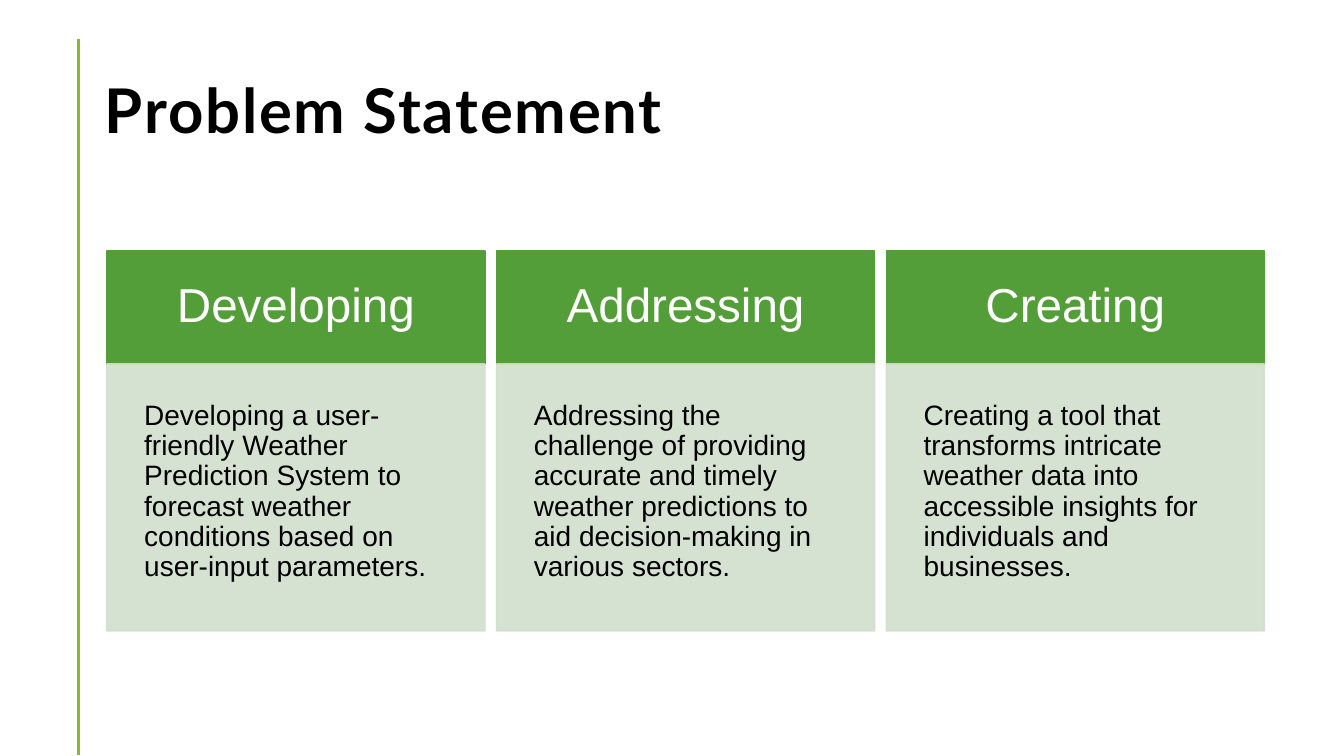
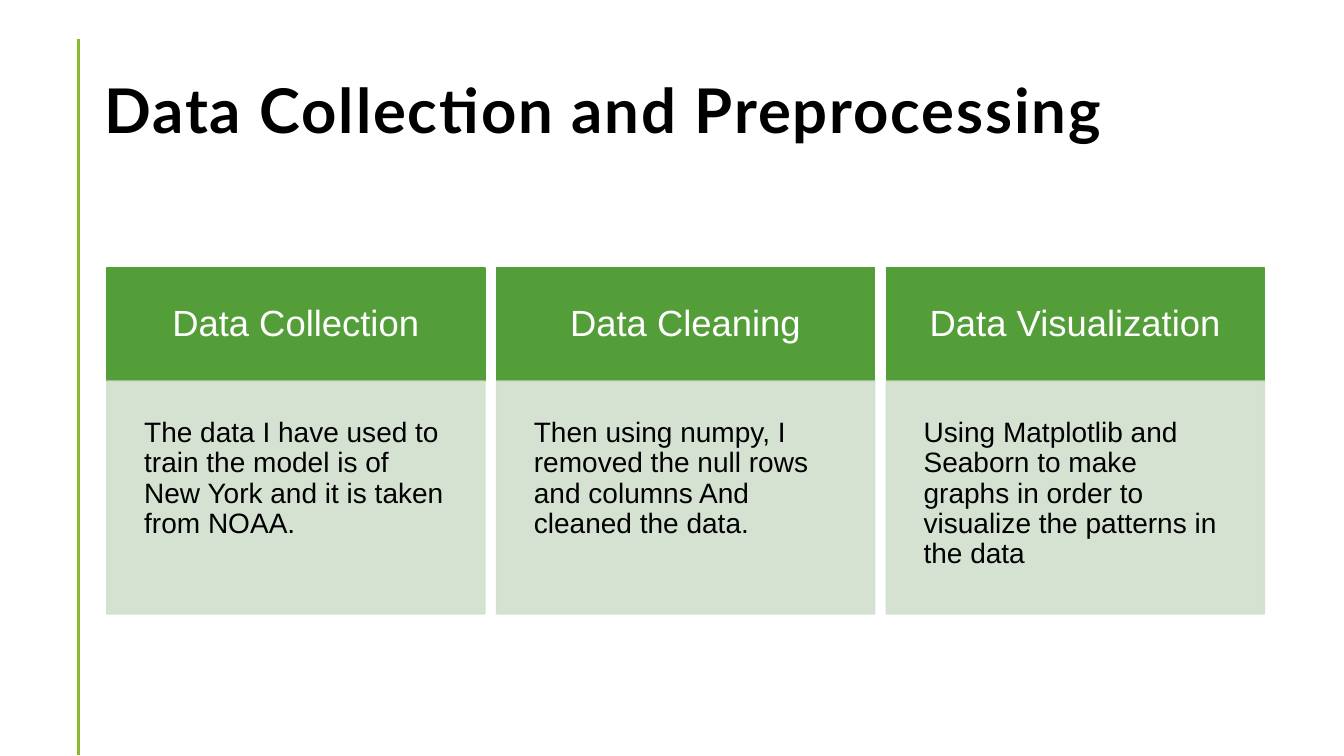
from lxml.etree import SubElement
from pptx import Presentation
from pptx.dml.color import RGBColor
from pptx.enum.shapes import MSO_CONNECTOR, MSO_SHAPE
from pptx.enum.text import MSO_ANCHOR, PP_ALIGN
from pptx.oxml.ns import qn
from pptx.util import Inches, Pt

GREEN = RGBColor(0x54, 0x9E, 0x39)
PALE = RGBColor(0xD1, 0xDF, 0xCE)
LIME = RGBColor(0x8A, 0xB8, 0x33)
BLACK = RGBColor(0, 0, 0)
WHITE = RGBColor(0xFF, 0xFF, 0xFF)

LEFT, WIDE, STEP = 1.06, 3.75, 3.865
HEAD = 1.12
SIDES = ("margin_left", "margin_top", "margin_right", "margin_bottom")

TITLE = {"size": Pt(44), "name": "Lato", "bold": True}
BODY = {"size": Pt(20), "name": "Arial"}


def write(shape, text, font, color, inset, anchor, align, after=0):
    frame = shape.text_frame
    look = dict.fromkeys(SIDES, Inches(inset))
    look.update(word_wrap=True, vertical_anchor=anchor)
    para = frame.paragraphs[0]
    run = para.add_run()
    run.text = text
    run.font.color.rgb = color
    flow = {"alignment": align, "line_spacing": 0.9, "space_after": Pt(after)}
    for part, values in ((frame, look), (para, flow), (run.font, font)):
        for key, value in values.items():
            setattr(part, key, value)
    return run


def panel(slide, col, top, high, color, alpha=None):
    box = slide.shapes.add_shape(
        MSO_SHAPE.RECTANGLE, Inches(LEFT + col * STEP), Inches(top), Inches(WIDE), Inches(high))
    box.shadow.inherit = False
    box.fill.solid()
    box.line.fill.solid()
    box.line.width = Pt(1)
    for fill in (box.fill, box.line.fill):
        fill.fore_color.rgb = color
    if alpha:
        for tint in box._element.spPr.iter(qn("a:srgbClr")):
            SubElement(tint, qn("a:alpha"), val=str(alpha * 1000))
    return box


PAGES = [
    ("Problem Statement", 2.49, 2.65, 34, [
        ("Developing", "Developing a user-friendly Weather Prediction System to forecast "
         "weather conditions based on user-input parameters."),
        ("Addressing", "Addressing the challenge of providing accurate and timely weather "
         "predictions to aid decision-making in various sectors."),
        ("Creating", "Creating a tool that transforms intricate weather data into "
         "accessible insights for individuals and businesses."),
    ]),
    ("Data Collection and Preprocessing", 2.66, 2.31, 26, [
        ("Data Collection", "The data I have used to train the model is of New York "
         "and it is taken from NOAA."),
        ("Data Cleaning", "Then using numpy, I removed the null rows and columns "
         "And cleaned the data."),
        ("Data Visualization", "Using Matplotlib and Seaborn to make graphs in order to "
         "visualize the patterns in the data"),
    ]),
]

deck = Presentation()
deck.slide_width, deck.slide_height = Inches(13.33), Inches(7.5)

for title, top, high, size, cards in PAGES:
    slide = deck.slides.add_slide(deck.slide_layouts[6])

    rule = slide.shapes.add_connector(
        MSO_CONNECTOR.STRAIGHT, Inches(0.78), Inches(0.39), Inches(0.78), Inches(7.49))
    rule.line.color.rgb = LIME
    rule.line.width = Pt(2)
    SubElement(rule._element.spPr, qn("a:effectLst"))

    box = slide.shapes.add_textbox(Inches(0.92), Inches(0.4), Inches(11.5), Inches(1.45))
    run = write(box, title, TITLE, BLACK, 0.12, MSO_ANCHOR.MIDDLE, PP_ALIGN.LEFT)
    run.font._element.set("spc", "130")

    for col, (name, text) in enumerate(cards):
        write(panel(slide, col, top, HEAD, GREEN), name, {**BODY, "size": Pt(size)},
              WHITE, 0.3, MSO_ANCHOR.MIDDLE, PP_ALIGN.CENTER)
        write(panel(slide, col, top + HEAD, high, PALE, 90), text, BODY,
              BLACK, 0.37, MSO_ANCHOR.TOP, PP_ALIGN.LEFT, 7)

deck.save("out.pptx")
